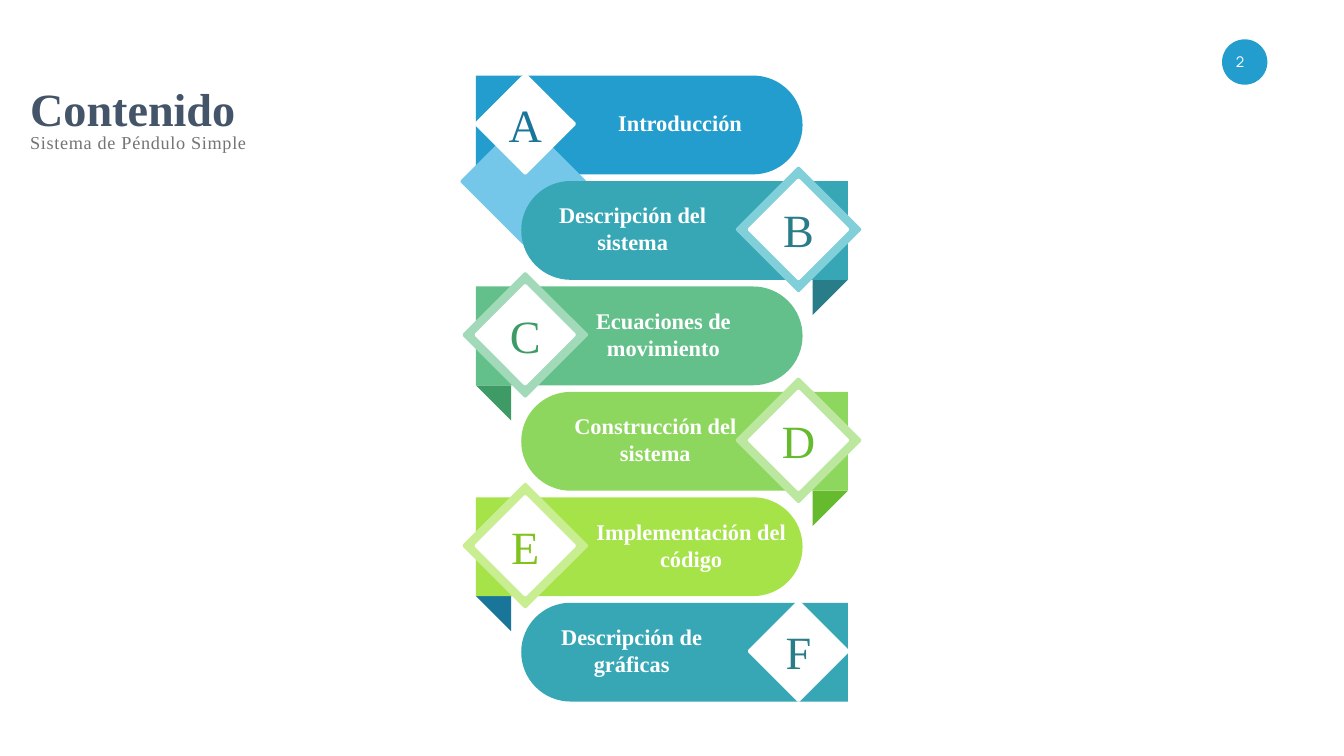
"""Build the contents slide: six alternating ribbons with lettered diamonds."""
from dataclasses import dataclass
from math import cos, pi, sin

from pptx import Presentation
from pptx.dml.color import RGBColor
from pptx.enum.shapes import MSO_SHAPE
from pptx.enum.text import MSO_ANCHOR as ANCHOR, PP_ALIGN as ALIGN
from pptx.shapes.autoshape import Shape
from pptx.slide import Slide
from pptx.text.text import _Run as Run
from pptx.util import Inches, Pt

SERIF = "Times New Roman"
WHITE = "FFFFFF"
LEFT_EDGE, RIGHT_EDGE = 4.72, 8.41
FIRST_TOP, LAST_TOP = 0.75, 5.98
BAR_H, BAR_STRAIGHT = 0.98, 2.75
RADIUS = BAR_H / 2
FOLD = 0.35
HALO_R, DIAMOND_R, CHAMFER = 0.62, 0.5, 0.01
ARC_STEPS = 32

Point = tuple[float, float]


@dataclass(frozen=True)
class Ribbon:
    letter: str
    label: str
    label_left: float
    label_width: float
    bar: str
    ink: str
    halo: str | None = None
    fold: str | None = None
    halo_shift: Point = (0, 0)


RIBBONS = [
    Ribbon("A", "Introducción", 6.02, 1.45, "229DCE", "19769A", "74C7E8",
           halo_shift=(-0.02, 0.57)),
    Ribbon("B", "Descripción del sistema", 5.34, 1.87, "37A7B6", "297D88", "81CFD9", "297D88"),
    Ribbon("C", "Ecuaciones de movimiento", 5.5, 2.16, "63C08A", "3F9B66", "A1D9B9", "3F9B66"),
    Ribbon("D", "Construcción del sistema", 5.46, 2.08, "8ED75E", "65BA2E", "BBE79E", "65BA2E"),
    Ribbon("E", "Implementación del código", 5.62, 2.47, "A5E348", "81C21E", "C9EE91", "19769A"),
    Ribbon("F", "Descripción de gráficas", 5.33, 1.87, "37A7B6", "297D88"),
]


def rgb(color: str) -> RGBColor:
    return RGBColor.from_string(color)


def paint(sp: Shape, color: str) -> None:
    sp.shadow.inherit = False
    sp.fill.solid()
    sp.fill.fore_color.rgb = rgb(color)
    sp.line.fill.background()


def add_polygon(s: Slide, points: list[Point], color: str) -> None:
    start, *rest = [(Inches(x), Inches(y)) for x, y in points]
    builder = s.shapes.build_freeform(*start)
    builder.add_line_segments(rest, close=True)
    paint(builder.convert_to_shape(), color)


def add_diamond(s: Slide, cx: float, cy: float, r: float, color: str) -> None:
    c = CHAMFER
    corners = [(c, -r), (r, -c), (r, c), (c, r), (-c, r), (-r, c), (-r, -c), (-c, -r)]
    add_polygon(s, [(cx + x, cy + y) for x, y in corners], color)


def add_text(s: Slide, text: str, box: tuple[float, float, float, float], size: float,
             color: str, bold: bool = False, font: str = SERIF, align: ALIGN = ALIGN.CENTER,
             anchor: ANCHOR = ANCHOR.MIDDLE, wrap: bool = True, spacing: float | None = None) -> Run:
    tf = s.shapes.add_textbox(*(Inches(v) for v in box)).text_frame
    tf.text = text
    tf.word_wrap = wrap
    tf.vertical_anchor = anchor
    p = tf.paragraphs[0]
    p.alignment = align
    if spacing:
        p.line_spacing = Pt(spacing)
    r = p.runs[0]
    r.font.name = font
    r.font.size = Pt(size)
    r.font.bold = bold
    r.font.color.rgb = rgb(color)
    return r


def add_ribbon(s: Slide, ribbon: Ribbon, top: float, on_left: bool) -> None:
    edge, inward = (LEFT_EDGE, 1) if on_left else (RIGHT_EDGE, -1)
    mid, bottom = top + RADIUS, top + BAR_H
    if ribbon.fold:
        fold_x = edge + inward * FOLD
        add_polygon(s, [(edge, bottom), (fold_x, bottom), (fold_x, bottom + FOLD)], ribbon.fold)

    arc_x = edge + inward * BAR_STRAIGHT
    angles = [pi * i / ARC_STEPS - pi / 2 for i in range(ARC_STEPS + 1)]
    arc = [(arc_x + inward * RADIUS * cos(a), mid + RADIUS * sin(a)) for a in angles]
    add_polygon(s, [(edge, top), *arc, (edge, bottom)], ribbon.bar)

    cx, cy = edge + inward * RADIUS, mid - 0.01
    if ribbon.halo:
        dx, dy = ribbon.halo_shift
        add_diamond(s, cx + dx, cy + dy, HALO_R, ribbon.halo)
    add_diamond(s, cx, cy, DIAMOND_R, WHITE)

    add_text(s, ribbon.label, (ribbon.label_left, mid - 0.34, ribbon.label_width, 0.64),
             16, WHITE, bold=True)
    add_text(s, ribbon.letter, (cx - 0.27, cy - 0.33, 0.54, 0.66), 33, ribbon.ink)


def main() -> None:
    prs = Presentation()
    prs.slide_width, prs.slide_height = Inches(13.33), Inches(7.5)
    s = prs.slides.add_slide(prs.slide_layouts[6])

    badge = s.shapes.add_shape(MSO_SHAPE.OVAL, *(Inches(v) for v in (12.12, 0.39, 0.45, 0.45)))
    paint(badge, "229DCE")
    add_text(s, "2", (12.1, 0.46, 0.4, 0.3), 10.5, WHITE, font="Manrope")

    add_text(s, "Contenido", (0.2, 0.6, 2.26, 0.74), 33, "445469", bold=True,
             align=ALIGN.LEFT, anchor=ANCHOR.TOP, wrap=False, spacing=50)
    subtitle = add_text(s, "Sistema de Péndulo Simple", (0.2, 1.25, 2.38, 0.32), 13, "737572",
                        align=ALIGN.LEFT, wrap=False)
    subtitle._r.get_or_add_rPr().set("spc", "50")

    pitch = (LAST_TOP - FIRST_TOP) / (len(RIBBONS) - 1)
    for i, ribbon in enumerate(RIBBONS):
        add_ribbon(s, ribbon, FIRST_TOP + i * pitch, on_left=i % 2 == 0)

    prs.save("out.pptx")


if __name__ == "__main__":
    main()
